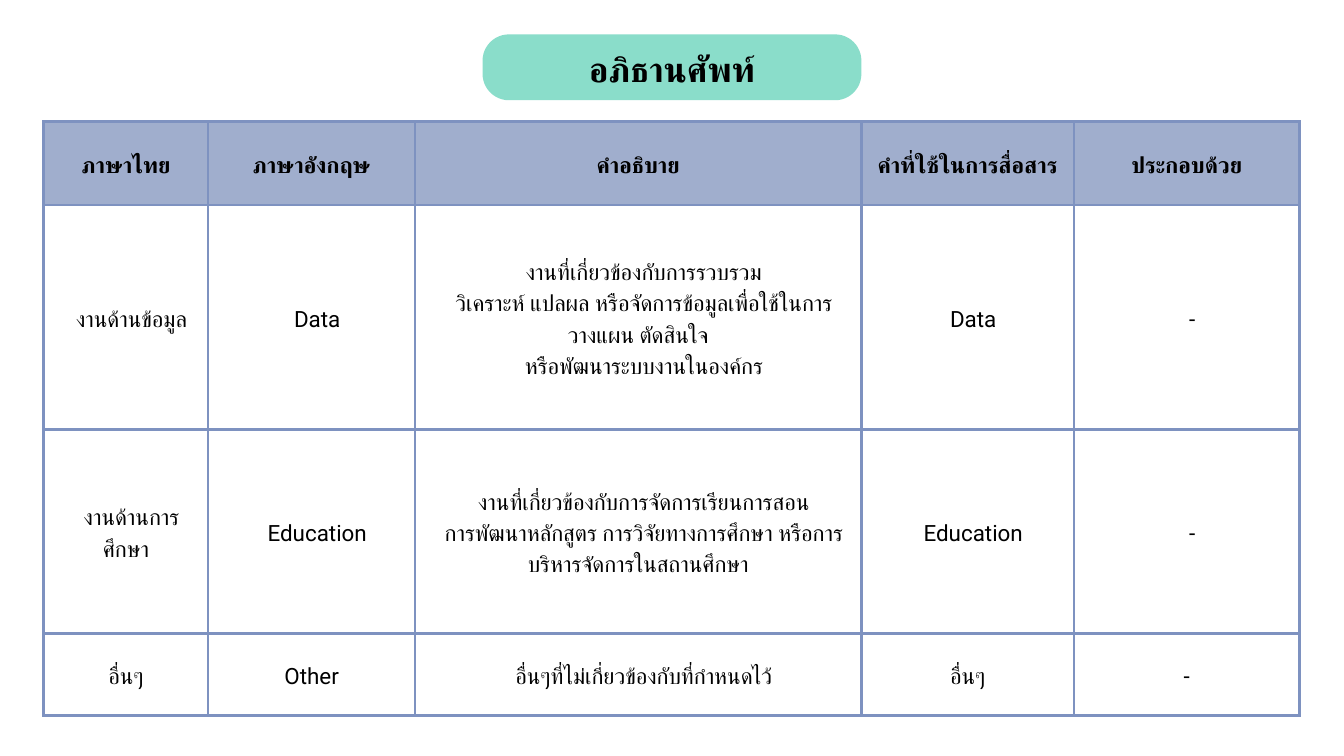
from dataclasses import dataclass

from lxml import etree
from pptx import Presentation
from pptx.dml.color import RGBColor
from pptx.enum.shapes import MSO_SHAPE
from pptx.enum.text import MSO_ANCHOR, PP_ALIGN
from pptx.oxml.ns import qn
from pptx.slide import Slide
from pptx.util import Cm, Pt

CENTER = PP_ALIGN.CENTER
MIDDLE = MSO_ANCHOR.MIDDLE
ROUNDED = MSO_SHAPE.ROUNDED_RECTANGLE

MINT = RGBColor(0x8A, 0xDD, 0xCA)
HEADER_BLUE = RGBColor(0xA0, 0xAE, 0xCD)
GRID_BLUE = RGBColor(0x7E, 0x92, 0xC0)
BLACK = RGBColor(0, 0, 0)

FONT = "Roboto"
TITLE_FORMAT = {"size": Pt(37), "bold": True}
HEADER_FORMAT = {"size": Pt(24), "bold": True}
BODY_FORMAT = {"size": Pt(24), "bold": False}
CELL_FORMAT = {
    "margin_left": Cm(0.53),
    "margin_right": Cm(0.53),
    "margin_top": Cm(0.53),
    "margin_bottom": Cm(0.53),
    "vertical_anchor": MIDDLE,
}
TITLE_FRAME = {
    "margin_left": 0,
    "margin_right": 0,
    "margin_top": 0,
    "margin_bottom": 0,
    "word_wrap": True,
}

COLUMN_WIDTHS = [6.22, 7.82, 16.87, 8.03, 8.53]
ROW_HEIGHTS = [3.15, 8.48, 7.72, 3.1]
FIRST_LINE_INDENT = Cm(0.42)
INDENTED_CELLS = {(row, column) for row in (1, 2) for column in range(5)} | {(3, 2)}

GLOSSARY = [
    ["ภาษาไทย", "ภาษาอังกฤษ", "คำอธิบาย", "คำที่ใช้ในการสื่อสาร", "ประกอบด้วย"],
    [
        "งานด้านข้อมูล",
        "Data",
        "งานที่เกี่ยวข้องกับการรวบรวม\n"
        "วิเคราะห์ แปลผล หรือจัดการข้อมูลเพื่อใช้ในการวางแผน ตัดสินใจ\n"
        "หรือพัฒนาระบบงานในองค์กร",
        "Data",
        "-",
    ],
    [
        "งานด้านการศึกษา",
        "Education",
        "งานที่เกี่ยวข้องกับการจัดการเรียนการสอน\n"
        "การพัฒนาหลักสูตร การวิจัยทางการศึกษา หรือการบริหารจัดการในสถานศึกษา",
        "Education",
        "-",
    ],
    ["อื่นๆ", "Other", "อื่นๆที่ไม่เกี่ยวข้องกับที่กำหนดไว้", "อื่นๆ", "-"],
]


def apply(target, values):
    for name, value in values.items():
        setattr(target, name, value)


@dataclass
class GlossarySlide:
    slide: Slide
    font: str = FONT
    ink: RGBColor = BLACK
    grid: RGBColor = GRID_BLUE
    grid_width: int = Pt(3)

    def set_text(self, frame, text, font_format, spacing, indent=0):
        frame.text = text
        for paragraph in frame.paragraphs:
            apply(paragraph, {"alignment": CENTER, "line_spacing": spacing})
            if indent:
                properties = paragraph._p.get_or_add_pPr()
                properties.set("marL", "0")
                properties.set("indent", str(indent))
            for run in paragraph.runs:
                apply(run.font, {"name": self.font, **font_format})
                run.font.color.rgb = self.ink
                properties = run._r.get_or_add_rPr()
                for script in ("a:ea", "a:cs"):
                    etree.SubElement(properties, qn(script), typeface=self.font)

    def banner(self, left, top, width, height, color):
        shape = self.slide.shapes.add_shape(
            ROUNDED, Cm(left), Cm(top), Cm(width), Cm(height)
        )
        shape.adjustments[0] = 0.4
        shape.shadow.inherit = False
        shape.fill.solid()
        shape.fill.fore_color.rgb = color
        shape.line.fill.background()

    def title(self, text, left, top, width, height):
        box = self.slide.shapes.add_textbox(Cm(left), Cm(top), Cm(width), Cm(height))
        apply(box.text_frame, TITLE_FRAME)
        self.set_text(box.text_frame, text, TITLE_FORMAT, Pt(51.7))

    def border(self, cell):
        properties = cell._tc.get_or_add_tcPr()
        for side in ("a:lnL", "a:lnR", "a:lnT", "a:lnB"):
            line = etree.SubElement(properties, qn(side), w=str(self.grid_width))
            fill = etree.SubElement(line, qn("a:solidFill"))
            etree.SubElement(fill, qn("a:srgbClr"), val=str(self.grid))

    def table(self, rows, left, top):
        table = self.slide.shapes.add_table(
            len(rows),
            len(COLUMN_WIDTHS),
            Cm(left),
            Cm(top),
            Cm(sum(COLUMN_WIDTHS)),
            Cm(sum(ROW_HEIGHTS)),
        ).table
        apply(table, {"first_row": False, "horz_banding": False})
        for column, width in zip(table.columns, COLUMN_WIDTHS):
            column.width = Cm(width)
        for row, height in zip(table.rows, ROW_HEIGHTS):
            row.height = Cm(height)
        for row_index, terms in enumerate(rows):
            for column_index, term in enumerate(terms):
                cell = table.cell(row_index, column_index)
                apply(cell, CELL_FORMAT)
                self.border(cell)
                if row_index == 0:
                    cell.fill.solid()
                    cell.fill.fore_color.rgb = HEADER_BLUE
                else:
                    cell.fill.background()
                indented = (row_index, column_index) in INDENTED_CELLS
                self.set_text(
                    cell.text_frame,
                    term,
                    BODY_FORMAT if row_index else HEADER_FORMAT,
                    Pt(33.6),
                    FIRST_LINE_INDENT if indented else 0,
                )


def main():
    presentation = Presentation()
    presentation.slide_width = Cm(50.8)
    presentation.slide_height = Cm(28.58)
    blank = presentation.slide_layouts[6]
    glossary = GlossarySlide(presentation.slides.add_slide(blank))
    glossary.banner(18.24, 1.3, 14.32, 2.49, MINT)
    glossary.table(GLOSSARY, 1.65, 4.6)
    glossary.title("อภิธานศัพท์", 21.59, 1.57, 7.62, 1.75)
    presentation.save("out.pptx")


if __name__ == "__main__":
    main()
